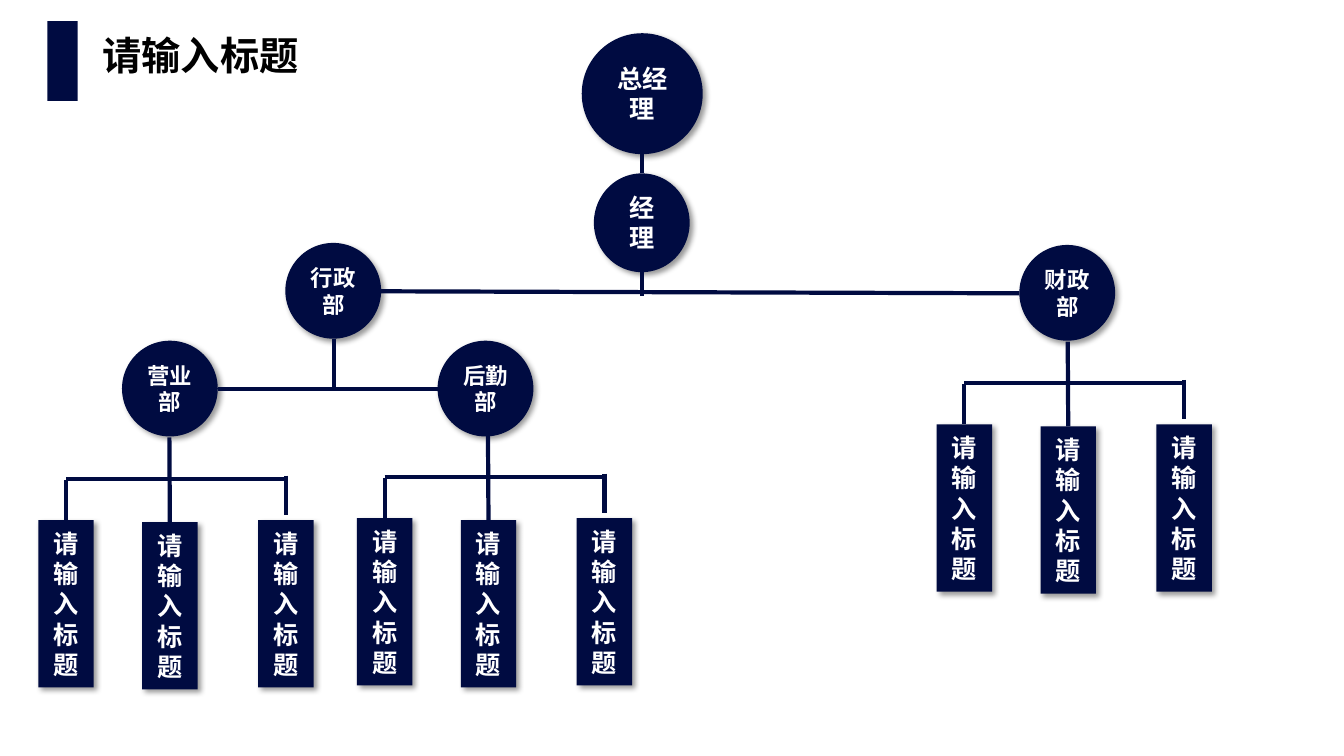
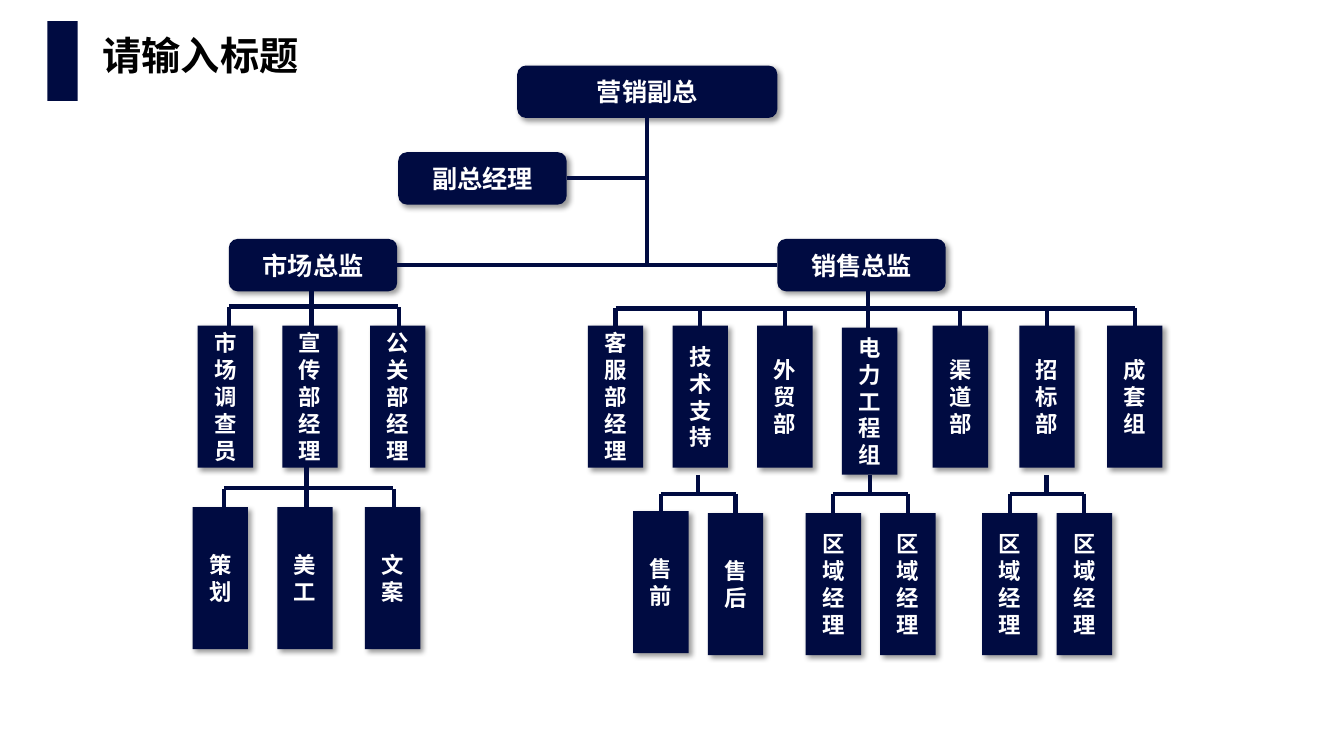
from lxml import etree
from pptx import Presentation
from pptx.dml.color import RGBColor
from pptx.enum.shapes import MSO_CONNECTOR, MSO_SHAPE
from pptx.enum.text import MSO_ANCHOR, PP_ALIGN
from pptx.oxml import parse_xml
from pptx.oxml.ns import nsdecls, qn
from pptx.util import Inches, Pt

NAVY = RGBColor(0x00, 0x0B, 0x41)
WHITE = RGBColor(0xFF, 0xFF, 0xFF)
BLACK = RGBColor(0x00, 0x00, 0x00)
FONT = "Noto Sans CJK SC"

RECT = MSO_SHAPE.RECTANGLE
ROUND = MSO_SHAPE.ROUNDED_RECTANGLE
OVAL = MSO_SHAPE.OVAL
STRAIGHT = MSO_CONNECTOR.STRAIGHT
CENTER = PP_ALIGN.CENTER
MIDDLE = MSO_ANCHOR.MIDDLE
TOP, LEFT, BOTTOM, RIGHT = range(4)

TITLE = "请输入标题"
LEAF = 0.55      # width of an upright box
MID = LEAF / 2
TALL = 1.41      # height of an upright box on the sales chart
SHADOW = (
    f'<a:outerShdw {nsdecls("a")} blurRad="50800" dist="38100" dir="2700000" '
    'algn="tl" rotWithShape="0"><a:srgbClr val="000000">'
    '<a:alpha val="40000"/></a:srgbClr></a:outerShdw>'
)


# Shared parts
def style(frame, text, size, color):
    frame.word_wrap = True
    frame.text = text
    for run in frame.paragraphs[0].runs:
        font = run.font
        font.name, font.size, font.bold = FONT, Pt(size), True
        font.color.rgb = color
        east = etree.SubElement(run._r.get_or_add_rPr(), qn("a:ea"))
        east.set("typeface", FONT)


def block(slide, kind, x, y, w, h):
    shape = slide.shapes.add_shape(
        kind, Inches(x), Inches(y), Inches(w), Inches(h))
    shape.fill.solid()
    shape.fill.fore_color.rgb = NAVY
    shape.line.fill.background()
    shape.shadow.inherit = False
    return shape


def node(slide, kind, x, y, w, h, text, size):
    shape = block(slide, kind, x, y, w, h)
    shape._element.spPr.find(qn("a:effectLst")).append(parse_xml(SHADOW))
    frame = shape.text_frame
    style(frame, text, size, WHITE)
    frame.vertical_anchor = MIDDLE
    frame.paragraphs[0].alignment = CENTER
    return shape


def link(slide, x1, y1, x2, y2, begin=None, end=None):
    line = slide.shapes.add_connector(
        STRAIGHT, Inches(x1), Inches(y1), Inches(x2), Inches(y2))
    line.line.color.rgb = NAVY
    line.line.width = Pt(3)
    etree.SubElement(line._element.spPr, qn("a:effectLst"))
    if begin:
        line.begin_connect(*begin)
    if end:
        line.end_connect(*end)


def base(deck):
    slide = deck.slides.add_slide(deck.slide_layouts[6])
    block(slide, RECT, 0.47, 0.21, 0.3, 0.79)
    title = slide.shapes.add_textbox(
        Inches(0.92), Inches(0.31), Inches(8.43), Inches(0.6))
    style(title.text_frame, TITLE, 28, BLACK)
    title.text_frame.paragraphs[0].line_spacing = 0.9
    return slide


# Department branch: three upright boxes under a bar
def branch(slide, x, y):
    left, mid, right = [
        node(slide, RECT, x + dx, y + dy, LEAF, 1.66, TITLE, 18)
        for dx, dy in ((0, 0), (1.03, 0.02), (2.18, 0))]
    near, far = x + MID, x + 2.18 + MID
    link(slide, near, y - 0.41, far, y - 0.41)
    link(slide, near, y - 0.4, near, y, end=(left, TOP))
    link(slide, x + 1.3, y - 0.82, x + 1.3, y, end=(mid, TOP))
    link(slide, far, y - 0.44, far, y - 0.05)


# Market team: three upright boxes, bar a little off their centres
def trio(slide, x, y, names):
    for dx, name in zip((0, 0.84, 1.71), names):
        node(slide, RECT, x + dx, y, LEAF, TALL, name, 16)
    link(slide, x + 0.31, y - 0.19, x + 1.99, y - 0.19)
    link(slide, x + 0.31, y - 0.18, x + 0.31, y)
    link(slide, x + 1.13, y - 0.44, x + 1.13, y)
    link(slide, x + 2, y - 0.18, x + 2, y)


# Bar with a stem above and a joined drop to each box
def fork(slide, boxes, bar, stem, top, foot):
    spots = [x + MID for x, _ in boxes]
    link(slide, spots[0], bar, spots[-1], bar)
    link(slide, stem, top, stem, foot)
    for spot, (_, box) in zip(spots, boxes):
        link(slide, spot, bar, spot, bar, end=(box, TOP))


def pair(slide, x, names, first=5.09):
    boxes = []
    for dx, y, name in zip((0, 0.74), (first, 5.09), names):
        box = node(slide, RECT, x + dx, y, LEAF, TALL, name, 16)
        boxes.append((x + dx, box))
    fork(slide, boxes, 4.9, x + 0.64, 4.71, 4.91)


def sales(slide, y):
    boxes = []
    for x, name in ((5.83, "客服部经理"), (6.67, "技术支持"),
                    (7.51, "外贸部"), (9.25, "渠道部"),
                    (10.11, "招标部"), (10.98, "成套组")):
        boxes.append((x, node(slide, RECT, x, y, LEAF, TALL, name, 16)))
    fork(slide, boxes, y - 0.17, 8.61, y - 0.43, y + 0.02)
    node(slide, RECT, 8.35, y + 0.02, LEAF, 1.46, "电力工程组", 16)


# Slide 1: company chart
def company(deck):
    slide = base(deck)
    for x, y, w, h, name, size in (
            (5.77, 0.33, 1.2, 1.2, "总经理", 18),
            (5.89, 1.72, 0.95, 0.98, "经理", 18),
            (2.83, 2.41, 0.95, 0.95, "行政部", 16),
            (10.11, 2.43, 0.95, 0.95, "财政部", 16),
            (1.21, 3.38, 0.95, 0.95, "营业部", 16),
            (4.34, 3.38, 0.95, 0.95, "后勤部", 16)):
        node(slide, OVAL, x, y, w, h, name, size)
    for ends in ((6.37, 1.53, 6.37, 1.72), (6.37, 2.68, 6.37, 2.94),
                 (3.78, 2.89, 10.11, 2.91), (2.16, 3.86, 4.34, 3.86),
                 (3.31, 3.36, 3.31, 3.86)):
        link(slide, *ends)
    for x, y in ((0.38, 5.16), (3.54, 5.14), (9.29, 4.21)):
        branch(slide, x, y)


# Slide 2: sales and marketing chart
def market(deck):
    slide = base(deck)
    head, aide, promo, sell = [
        node(slide, ROUND, x, y, w, 0.52, name, 18)
        for x, y, w, name in (
            (5.13, 0.65, 2.58, "营销副总"), (3.95, 1.51, 1.67, "副总经理"),
            (2.27, 2.37, 1.67, "市场总监"), (7.71, 2.37, 1.67, "销售总监"))]
    link(slide, 6.42, 1.17, 6.42, 2.63, begin=(head, BOTTOM))
    link(slide, 5.62, 1.77, 6.42, 1.77, begin=(aide, RIGHT))
    link(slide, 3.94, 2.63, 7.71, 2.63, (promo, RIGHT), (sell, LEFT))
    trio(slide, 1.96, 3.23, ("市场调查员", "宣传部经理", "公关部经理"))
    trio(slide, 1.91, 5.03, ("策划", "美工", "文案"))
    sales(slide, 3.23)
    pair(slide, 6.28, ("售前", "售后"), 5.07)
    for x in (7.99, 9.74):
        pair(slide, x, ("区域经理", "区域经理"))


def main():
    deck = Presentation()
    deck.slide_width, deck.slide_height = Inches(13.33), Inches(7.5)
    company(deck)
    market(deck)
    deck.save("out.pptx")


if __name__ == "__main__":
    main()
